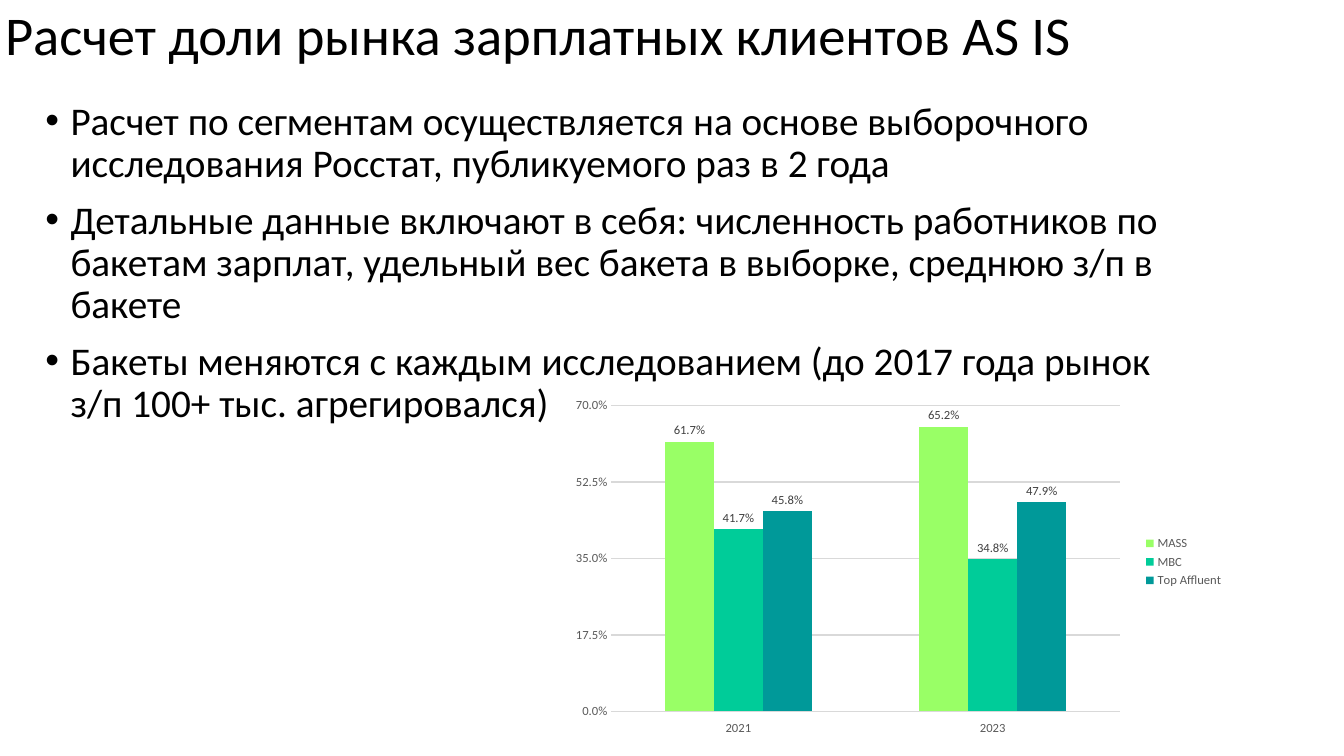
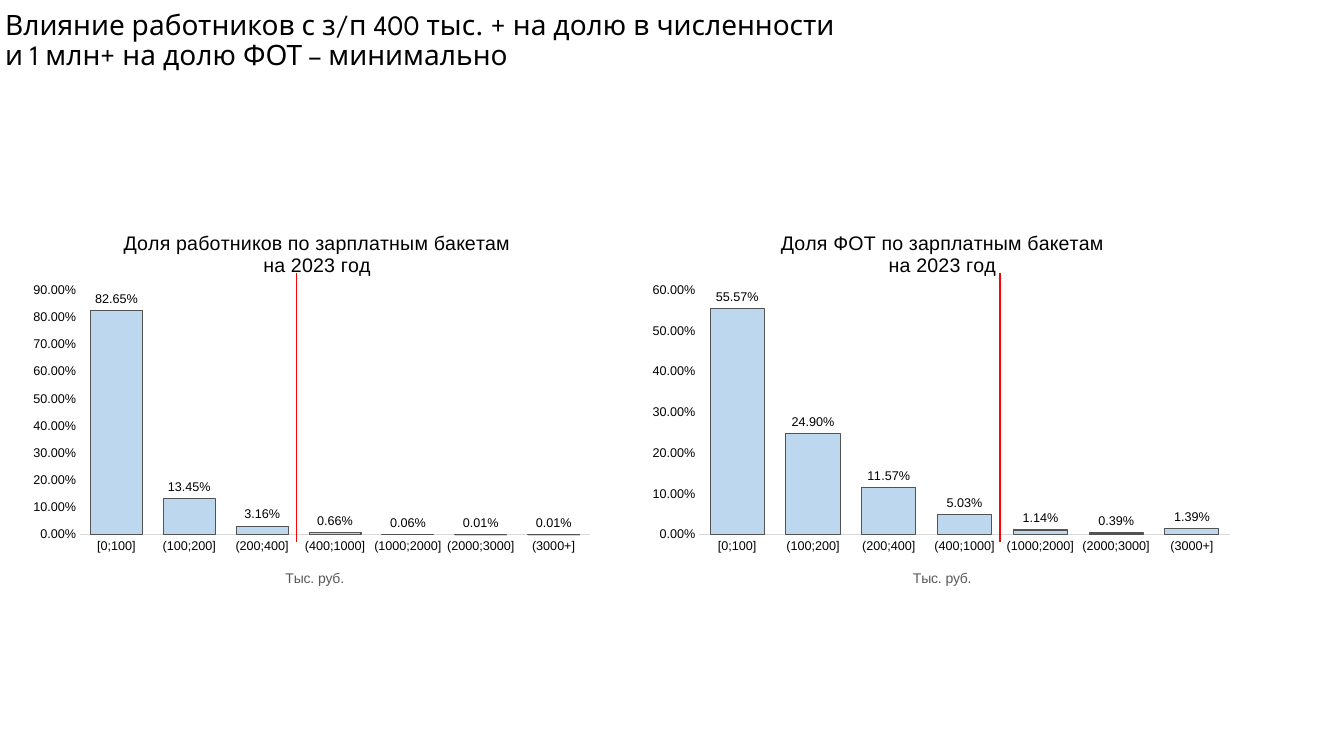
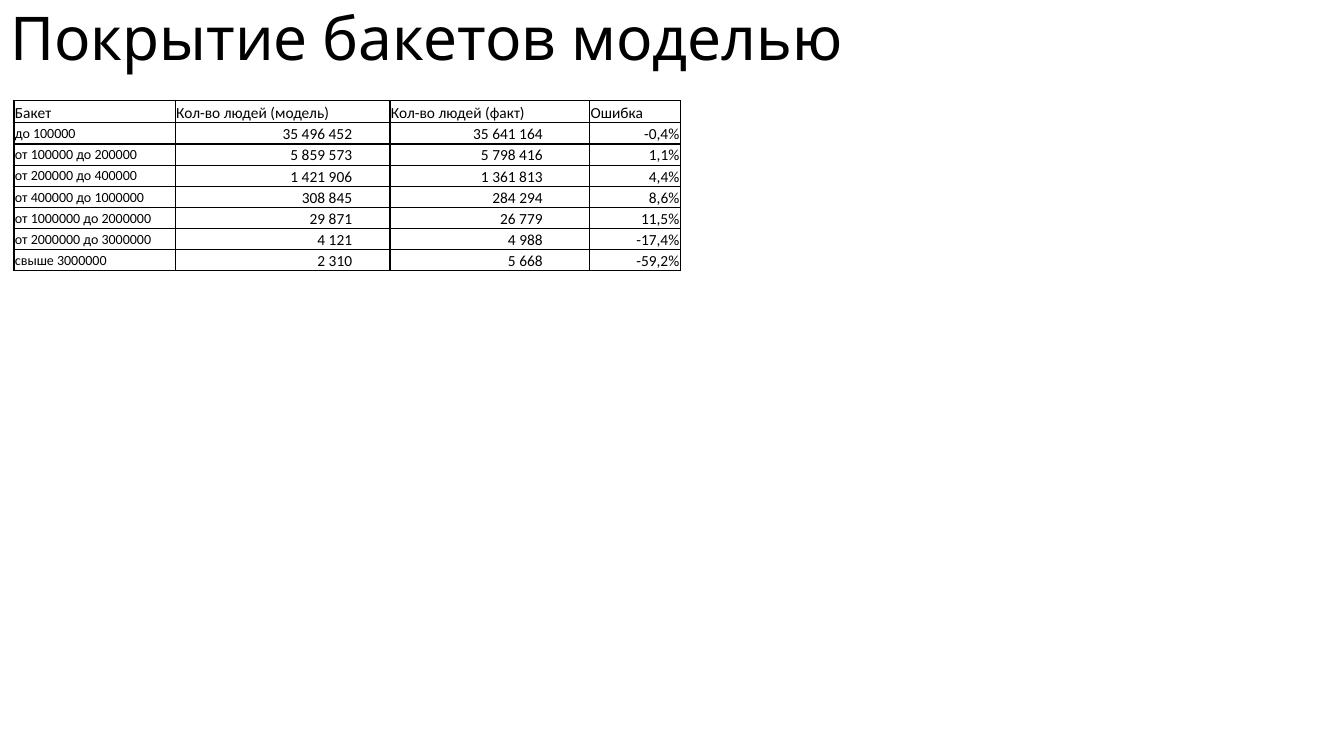
from lxml import etree
from pptx import Presentation
from pptx.chart.data import CategoryChartData
from pptx.dml.color import RGBColor
from pptx.enum import chart as ch, shapes, text
from pptx.oxml.ns import qn
from pptx.util import Pt

BLACK = RGBColor(0, 0, 0)
RED = RGBColor(0xFF, 0, 0)
GREY = RGBColor(0x59, 0x59, 0x59)
DARK = RGBColor(0x40, 0x40, 0x40)
EDGE = RGBColor(0x53, 0x53, 0x53)
GRID = RGBColor(0xD9, 0xD9, 0xD9)
BLUE = RGBColor(0xBD, 0xD7, 0xEE)
LIME = RGBColor(0x99, 0xFF, 0x66)
GREEN = RGBColor(0, 0xCC, 0x99)
TEAL = RGBColor(0, 0x99, 0x99)

HEAD = "League Spartan"
BODY = "Calibri"
SANS = "Arial"
INSET = {f"margin_{side}": Pt(3.6) for side in ("left", "top", "right", "bottom")}

POINTS = [
    "Расчет по сегментам осуществляется на основе выборочного исследования Росстат, публикуемого раз в 2 года",
    "Детальные данные включают в себя: численность работников по бакетам зарплат, удельный вес бакета в выборке, среднюю з/п в бакете",
    "Бакеты меняются с каждым исследованием (до 2017 года рынок з/п 100+ тыс. агрегировался)",
]
SHARES = [
    ("MASS", (0.617, 0.652), LIME),
    ("МВС", (0.417, 0.348), GREEN),
    ("Top Affluent", (0.458, 0.479), TEAL),
]
BANDS = ["[0;100]", "(100;200]", "(200;400]", "(400;1000]",
         "(1000;2000]", "(2000;3000]", "(3000+]"]
STAFF = (0.8265, 0.1345, 0.0316, 0.0066, 0.0006, 0.0001, 0.0001)
WAGES = (0.5557, 0.249, 0.1157, 0.0503, 0.0114, 0.0039, 0.0139)
ROWS = [
    ("Бакет", "Кол-во людей (модель)", "Кол-во людей (факт)", "Ошибка"),
    ("до 100000", "35 496 452", "35 641 164", "-0,4%"),
    ("от 100000 до 200000", "5 859 573", "5 798 416", "1,1%"),
    ("от 200000 до 400000", "1 421 906", "1 361 813", "4,4%"),
    ("от 400000 до 1000000", "308 845", "284 294", "8,6%"),
    ("от 1000000 до 2000000", "29 871", "26 779", "11,5%"),
    ("от 2000000 до 3000000", "4 121", "4 988", "-17,4%"),
    ("свыше 3000000", "2 310", "5 668", "-59,2%"),
]
WIDTHS = (115.2, 153.4, 142.6, 64.8)
PADS = (0.7, 27, 33.5, 0.7)


def put(item, **fmt):
    for key, val in fmt.items():
        setattr(item, key, val)


def style(font, size, name, color=BLACK):
    put(font, size=Pt(size), name=name, bold=False)
    font.color.rgb = color


def write(slide, at, lines, size, name, mid=True):
    frame = slide.shapes.add_textbox(*map(Pt, at)).text_frame
    anchor = text.MSO_ANCHOR.MIDDLE if mid else text.MSO_ANCHOR.TOP
    put(frame, word_wrap=True, vertical_anchor=anchor, **INSET)
    frame.text = "\n".join(lines)
    for para in frame.paragraphs:
        para.line_spacing = 0.9
        style(para.runs[0].font, size, name)
    return frame


def title(slide, at, line, size, name=HEAD):
    write(slide, at, [line], size, name)


def bullets(slide, at, lines):
    for para in write(slide, at, lines, 28, BODY, False).paragraphs:
        para.space_before = Pt(10)
        props = para._p.get_or_add_pPr()
        props.set("marL", str(Pt(18)))
        props.set("indent", str(Pt(-18)))
        etree.SubElement(props, qn("a:buFont")).set("typeface", SANS)
        etree.SubElement(props, qn("a:buChar")).set("char", "•")


def place(node, after, **box):
    for old in node.findall(qn("c:layout")):
        node.remove(old)
    layout = etree.Element(qn("c:layout"))
    man = etree.SubElement(layout, qn("c:manualLayout"))
    vals = {"xMode": "edge", "yMode": "edge", **box}
    if "w" in box:
        vals = {"layoutTarget": "inner", **vals}
    for key, val in vals.items():
        etree.SubElement(man, qn("c:" + key)).set("val", str(val))
    if after:
        node.find(qn(after)).addnext(layout)
    else:
        node.insert(0, layout)


def columns(slide, at, cats, data, name, ink, mark, fmt, top, step, gap, lap, box, rule):
    feed = CategoryChartData(number_format=fmt)
    feed.categories = cats
    for label, vals, _ in data:
        feed.add_series(label, vals)
    kind = ch.XL_CHART_TYPE.COLUMN_CLUSTERED
    chart = slide.shapes.add_chart(kind, *map(Pt, at), feed).chart
    put(chart, has_legend=False, has_title=False)
    style(chart.font, 10, SANS)
    plot = chart.plots[0]
    put(plot, gap_width=gap, overlap=lap, vary_by_categories=False, has_data_labels=True)
    for part, (_, _, color) in zip(plot.series, data):
        part.format.fill.solid()
        part.format.fill.fore_color.rgb = color
    tags = plot.data_labels
    put(tags, show_value=True, number_format=fmt, number_format_is_linked=False,
        position=ch.XL_LABEL_POSITION.OUTSIDE_END)
    style(tags.font, 9, name, mark)
    for axis in (chart.category_axis, chart.value_axis):
        put(axis, major_tick_mark=ch.XL_TICK_MARK.NONE,
            minor_tick_mark=ch.XL_TICK_MARK.NONE, has_major_gridlines=False)
        style(axis.tick_labels.font, 9, name, ink)
    line = chart.category_axis.format.line
    line.width = Pt(rule)
    line.color.rgb = GRID
    axis = chart.value_axis
    put(axis, minimum_scale=0, maximum_scale=top, major_unit=step)
    put(axis.tick_labels, number_format=fmt, number_format_is_linked=False)
    axis.format.line.fill.background()
    place(chart._chartSpace.chart.plotArea, None, **dict(zip("xywh", box)))
    return chart


def shares(slide):
    chart = columns(slide, (403.2, 280, 478, 245.6), ["2021", "2023"], SHARES, BODY,
                    GREY, DARK, "0.0%", 0.7, 0.175, 219, 0,
                    (0.07, 0.04, 0.76, 0.9), 1)
    chart.category_axis.tick_label_position = ch.XL_TICK_LABEL_POSITION.LOW
    axis = chart.value_axis
    axis.has_major_gridlines = True
    line = axis.major_gridlines.format.line
    line.width = Pt(1)
    line.color.rgb = GRID
    chart.has_legend = True
    put(chart.legend, position=ch.XL_LEGEND_POSITION.RIGHT, include_in_layout=True)
    style(chart.legend.font, 9, BODY, GREY)


def caption(item, words, size, color, x, y):
    item.text_frame.text = words
    for para in item.text_frame.paragraphs:
        style(para.runs[0].font, size, SANS, color)
    place(item._element, "c:tx", x=x, y=y)


def spread(slide, left, width, vals, top, words, x):
    chart = columns(slide, (left, 148.3, width, 281.5), BANDS, [("Series 1", vals, BLUE)],
                    SANS, BLACK, BLACK, "0.00%", top, 0.1, 40, -27,
                    (0.1, 0.21, 0.88, 0.62), 0.75)
    line = chart.plots[0].series[0].format.line
    line.width = Pt(0.75)
    line.color.rgb = EDGE
    chart.has_title = True
    caption(chart.chart_title, words + "\nна 2023 год", 14, BLACK, x, 0.05)
    caption(chart.category_axis.axis_title, "Тыс. руб.", 10, GREY, 0.45, 0.91)


def divide(slide, x):
    kind = shapes.MSO_CONNECTOR.STRAIGHT
    line = slide.shapes.add_connector(kind, Pt(x), Pt(387.4), Pt(x), Pt(195.1))
    line.line.width = Pt(1)
    line.line.color.rgb = RED
    etree.SubElement(line._element.spPr, qn("a:effectLst"))


def border(cell):
    props = cell._tc.get_or_add_tcPr()
    for side in "LRTB":
        line = etree.SubElement(props, qn("a:ln" + side))
        line.set("w", str(Pt(1)))
        fill = etree.SubElement(line, qn("a:solidFill"))
        etree.SubElement(fill, qn("a:srgbClr")).set("val", str(BLACK))
    cell.fill.background()


def grid(slide, left, top):
    high = [15.8] + [15.1] * (len(ROWS) - 1)
    size = len(ROWS), len(WIDTHS)
    spot = map(Pt, (left, top, sum(WIDTHS), sum(high)))
    table = slide.shapes.add_table(*size, *spot).table
    put(table, first_row=False, horz_banding=False)
    for col, width in zip(table.columns, WIDTHS):
        col.width = Pt(width)
    for i, row in enumerate(ROWS):
        table.rows[i].height = Pt(high[i])
        for j, words in enumerate(row):
            cell = table.cell(i, j)
            name = i > 0 and j == 0
            figure = i > 0 and j > 0
            anchor = text.MSO_ANCHOR.MIDDLE if name else text.MSO_ANCHOR.BOTTOM
            put(cell, text=words, vertical_anchor=anchor, margin_left=Pt(0.7),
                margin_top=Pt(0.7), margin_bottom=Pt(0),
                margin_right=Pt(PADS[j] if figure else 0.7))
            para = cell.text_frame.paragraphs[0]
            para.alignment = text.PP_ALIGN.RIGHT if figure else text.PP_ALIGN.LEFT
            style(para.runs[0].font, 10 if name else 11, BODY)
            border(cell)


def main():
    deck = Presentation()
    put(deck, slide_width=Pt(960), slide_height=Pt(540))
    one, two, three = (deck.slides.add_slide(deck.slide_layouts[6]) for _ in range(3))

    title(one, (0, 1.4, 885, 52), "Расчет доли рынка зарплатных клиентов AS IS", 39, BODY)
    bullets(one, (28.8, 69, 828, 247), POINTS)
    shares(one)

    title(two, (0, 0, 612.7, 59), "Влияние работников с з/п 400 тыс. + на долю в численности "
          "и 1 млн+ на долю ФОТ – минимально", 20)
    spread(two, 15.8, 414, STAFF, 0.9, "Доля работников по зарплатным бакетам", 0.17)
    spread(two, 456.5, 430.6, WAGES, 0.6, "Доля ФОТ по зарплатным бакетам", 0.23)
    divide(two, 211.7)
    divide(two, 714.2)

    title(three, (3.6, 0, 635.8, 59), "Покрытие бакетов моделью", 43.1)
    grid(three, 10, 72)

    deck.save("out.pptx")


if __name__ == "__main__":
    main()
